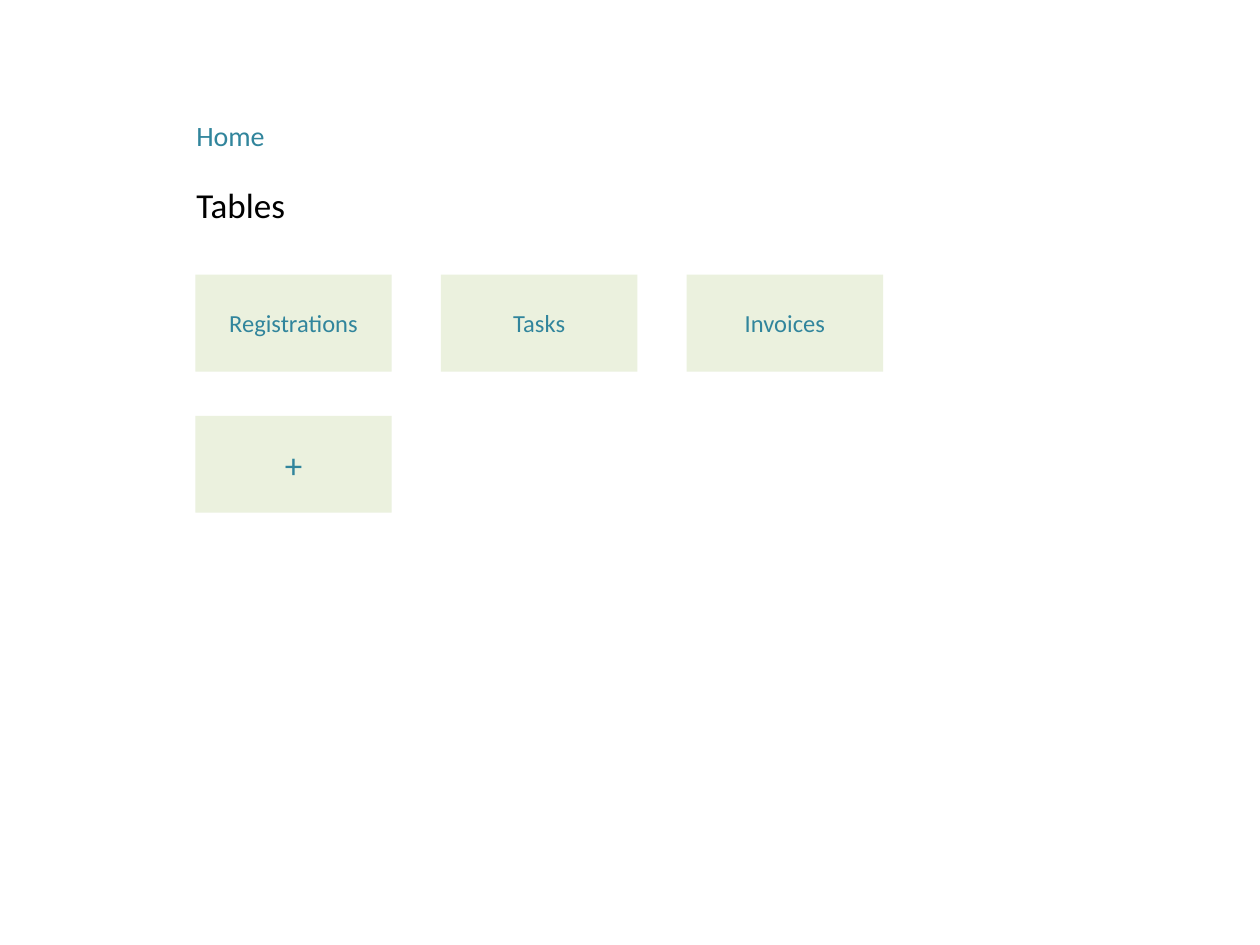
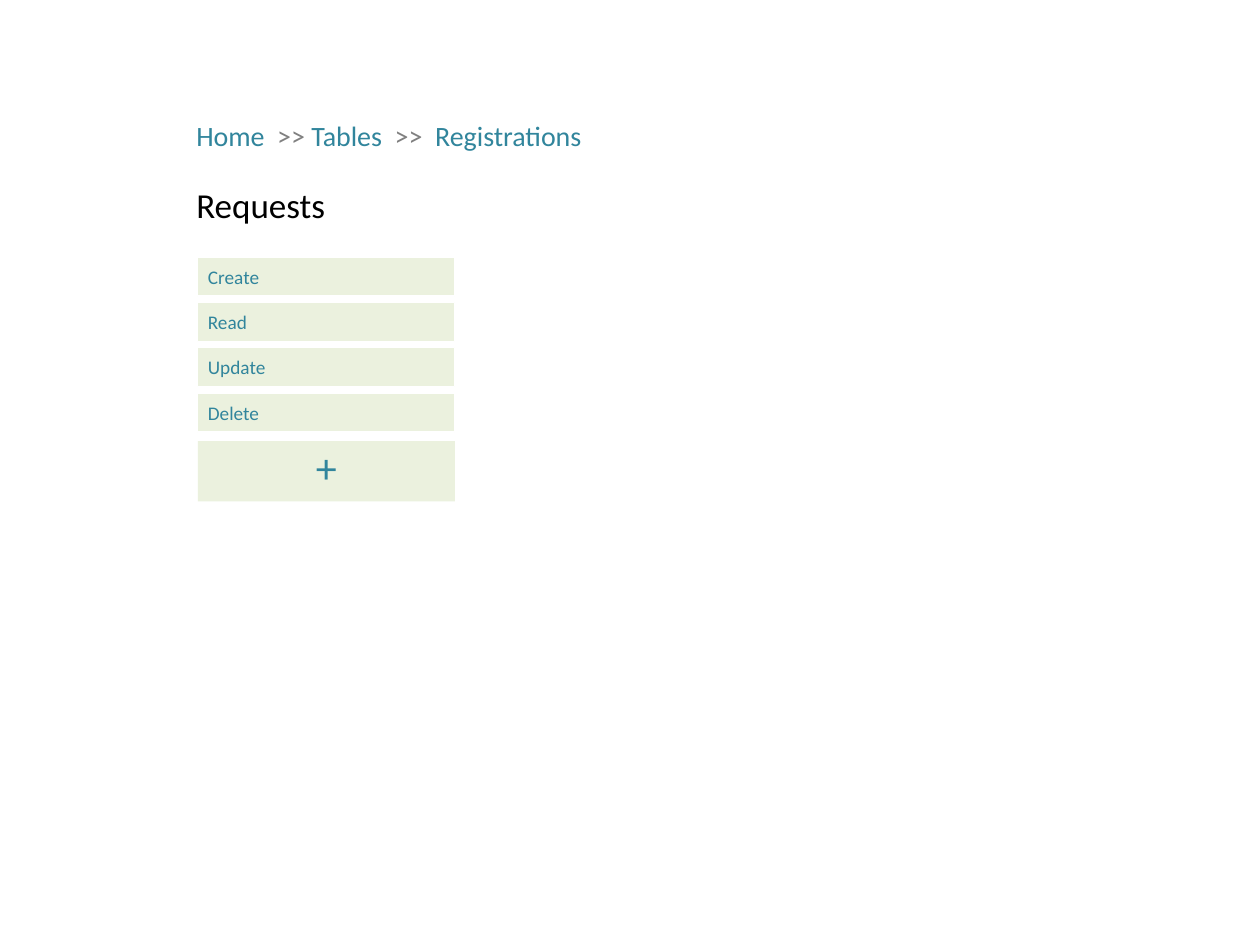
from dataclasses import dataclass

from pptx import Presentation
from pptx import util as u
from pptx.dml import color
from pptx.enum import shapes, text


@dataclass(frozen=True)
class Theme:
    font: str = "Calibri"
    link: str = "31859C"
    heading: str = "000000"
    separator: str = "808080"
    panel: str = "EBF1DE"
    edge: str = "FFFFFF"
    heading_size: int = 20
    trail_size: int = 16
    tile_size: int = 14
    row_size: int = 11
    large_plus: int = 24


class Wireframe:
    COLUMNS, ROWS = 100, 75

    def __init__(self, deck, theme):
        self.deck = deck
        self.theme = theme
        self.page = None

    def new_page(self):
        self.page = self.deck.slides.add_slide(self.deck.slide_layouts[6])

    def place(self, column, row, columns, rows):
        across = self.deck.slide_width / self.COLUMNS
        down = self.deck.slide_height / self.ROWS
        return [u.Emu(round(n * step)) for n, step in
                ((column, across), (row, down), (columns, across), (rows, down))]

    def add_span(self, para, words, size, tint):
        span = para.add_run()
        span.text = words
        span.font.name = self.theme.font
        span.font.size = u.Pt(size)
        span.font.color.rgb = color.RGBColor.from_string(tint)

    def label(self, row, columns, rows, size, spans):
        box = self.page.shapes.add_textbox(*self.place(14.6, row, columns, rows))
        frame = box.text_frame
        frame.word_wrap = False
        frame.auto_size = text.MSO_AUTO_SIZE.SHAPE_TO_FIT_TEXT
        for words, tint in spans:
            self.add_span(frame.paragraphs[0], words, size, tint)

    def heading(self, words, columns):
        self.label(14.05, columns, 4.4, self.theme.heading_size,
                   [(words, self.theme.heading)])

    def trail(self, columns, *steps):
        tints = (self.theme.link, self.theme.separator)
        spans = [(words, tints[i % 2]) for i, words in enumerate(steps)]
        self.label(8.9, columns, 3.7, self.theme.trail_size, spans)

    def panel(self, words, area, size, align=text.PP_ALIGN.CENTER,
              anchor=text.MSO_ANCHOR.MIDDLE, inset=0, outlined=False):
        box = self.page.shapes.add_shape(shapes.MSO_SHAPE.RECTANGLE, *self.place(*area))
        box.shadow.inherit = False
        box.fill.solid()
        box.fill.fore_color.rgb = color.RGBColor.from_string(self.theme.panel)
        if outlined:
            box.line.color.rgb = color.RGBColor.from_string(self.theme.edge)
            box.line.width = u.Pt(0.75)
        else:
            box.line.fill.background()
        frame = box.text_frame
        frame.word_wrap = True
        frame.vertical_anchor = anchor
        frame.margin_left = u.Inches(inset)
        frame.margin_top = frame.margin_right = frame.margin_bottom = 0
        para = frame.paragraphs[0]
        para.alignment = align
        self.add_span(para, words, size, self.theme.link)

    def tile(self, words, column, row, size):
        area = (15.5 + 19.5 * column, 21.8 + 11.2 * row, 15.6, 7.7)
        self.panel(words, area, size)

    def list_row(self, words, index):
        self.panel(words, (15.7, 20.4 + 3.6 * index, 20.4, 3.1), self.theme.row_size,
                   align=text.PP_ALIGN.LEFT, inset=0.08, outlined=True)


deck = Presentation()
deck.slide_width, deck.slide_height = u.Inches(10), u.Inches(7.5)
theme = Theme()
frames = Wireframe(deck, theme)

frames.new_page()
frames.heading("Tables", 9.3)
for column, words in enumerate(("Registrations", "Tasks", "Invoices")):
    frames.tile(words, column, 0, theme.tile_size)
frames.tile("+", 0, 1, theme.heading_size)
frames.trail(7.5, "Home")

frames.new_page()
frames.panel("+", (15.7, 35, 20.4, 4.8), theme.large_plus, anchor=text.MSO_ANCHOR.TOP)
frames.heading("Requests", 12.4)
for index, words in enumerate(("Create", "Read", "Update", "Delete")):
    frames.list_row(words, index)
frames.trail(33.3, "Home", "  >> ", "Tables", "  >> ", " Registrations")

deck.save("out.pptx")
